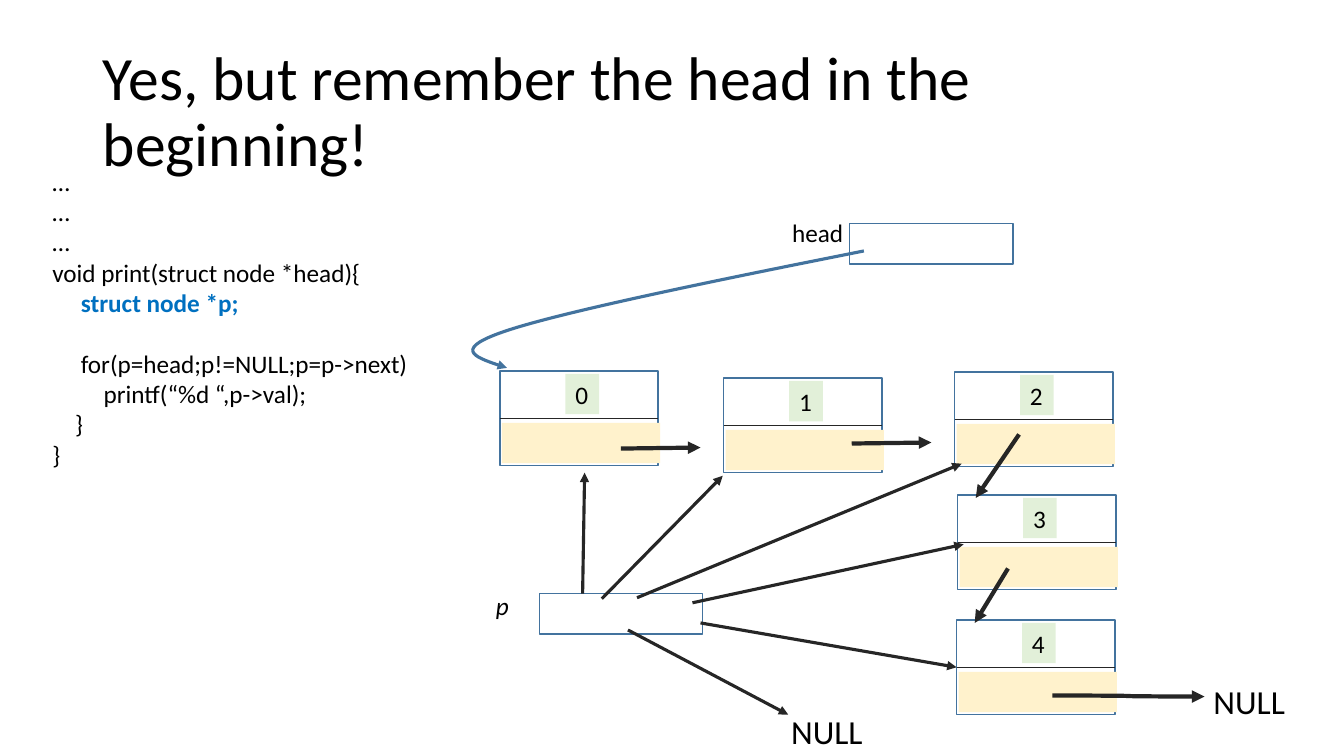
from dataclasses import dataclass

from lxml import etree
from pptx import Presentation
from pptx.dml.color import RGBColor
from pptx.enum.shapes import MSO_CONNECTOR, MSO_SHAPE
from pptx.enum.text import MSO_ANCHOR, MSO_AUTO_SIZE, PP_ALIGN
from pptx.oxml.ns import qn
from pptx.util import Inches, Pt

RECTANGLE = MSO_SHAPE.RECTANGLE
STRAIGHT, CURVED = MSO_CONNECTOR.STRAIGHT, MSO_CONNECTOR.CURVE
LEFT, MIDDLE = PP_ALIGN.LEFT, MSO_ANCHOR.MIDDLE
FIT_SHAPE, NO_FIT = MSO_AUTO_SIZE.SHAPE_TO_FIT_TEXT, MSO_AUTO_SIZE.NONE

SLIDE_W, SLIDE_H = Inches(13.33), Inches(7.5)
COLUMN, ROW = SLIDE_W / 40, SLIDE_H / 30


@dataclass(frozen=True)
class Theme:
    font: str = "Calibri"
    text: RGBColor = RGBColor(0, 0, 0)
    keyword: RGBColor = RGBColor(0x00, 0x70, 0xC0)
    outline: RGBColor = RGBColor(0x43, 0x73, 0x9E)
    arrow: RGBColor = RGBColor(0x26, 0x26, 0x26)
    value: RGBColor = RGBColor(0xE2, 0xF0, 0xD9)
    pointer: RGBColor = RGBColor(0xFF, 0xF2, 0xCC)
    title_size: int = 44
    null_size: int = 24
    body_size: int = 18


THEME = Theme()


@dataclass(frozen=True)
class Box:
    """Left, top, width and height in grid columns and rows."""
    x: float
    y: float
    w: float
    h: float

    def emu(self) -> tuple[int, int, int, int]:
        return (int(self.x * COLUMN), int(self.y * ROW),
                int(self.w * COLUMN), int(self.h * ROW))


@dataclass(frozen=True)
class Arrow:
    """Start and end in grid columns and rows."""
    x1: float
    y1: float
    x2: float
    y2: float
    kind: int = STRAIGHT


@dataclass(frozen=True)
class Node:
    value: str
    x: float
    y: float
    next_arrow: Arrow


@dataclass(frozen=True)
class CodeLine:
    text: str
    indent: float = 0  # in columns
    keyword: bool = False
    gap_before: int = 0  # in points


NODE_W, NODE_H, CELL_H, VARIABLE_W = 4.71, 3.76, 1.6, 4.86

NODES = [
    Node("0", 14.88, 14.72, Arrow(18.48, 17.8, 20.85, 17.76)),
    Node("1", 21.54, 15, Arrow(25.35, 17.6, 27.72, 17.56)),
    Node("2", 28.41, 14.76, Arrow(30.33, 17.24, 29.04, 19.76)),
    Node("3", 28.5, 19.64, Arrow(30, 22.56, 29.01, 24.72)),
    Node("4", 28.47, 24.6, Arrow(31.32, 27.6, 35.85, 27.64, CURVED)),
]

P_ARROWS = [
    Arrow(17.34, 23.56, 17.4, 18.76),
    Arrow(17.91, 23.76, 21.51, 18.88),
    Arrow(18.96, 23.72, 28.62, 18.4),
    Arrow(20.61, 23.92, 28.68, 21.6),
    Arrow(20.85, 24.72, 28.47, 26.48),
    Arrow(18.69, 25, 23.46, 28.36),
]

# Start point, then two control points and an end point per curve.
HEAD_CURVE = [(25.71, 9.96),
              (21.33, 11.12), (16.95, 12.32), (15.18, 13.08),
              (13.41, 13.84), (14.25, 14.24), (15.09, 14.6)]

CODE = [
    CodeLine("…"), CodeLine("…"), CodeLine("…"),
    CodeLine("void print(struct node *head){"),
    CodeLine("struct node *p;", 0.85, keyword=True),
    CodeLine("for(p=head;p!=NULL;p=p->next)", 0.85, gap_before=22),
    CodeLine("printf(“%d “,p->val);", 1.53),
    CodeLine("}", 0.68),
    CodeLine("}"),
]


def format_runs(paragraph, size: int, color: RGBColor = THEME.text,
                bold: bool = False, italic: bool = False) -> None:
    for run in paragraph.runs:
        font = run.font
        font.name, font.size = THEME.font, Pt(size)
        font.bold, font.italic = bold, italic
        font.color.rgb = color


def add_label(shapes, text: str, box: Box, size: int = THEME.body_size,
              wrap: bool = True, italic: bool = False):
    label = shapes.add_textbox(*box.emu())
    frame = label.text_frame
    frame.word_wrap, frame.auto_size = wrap, FIT_SHAPE
    frame.text = text
    format_runs(frame.paragraphs[0], size, italic=italic)
    return label


def add_outline(shapes, box: Box, width: float = 1) -> None:
    outline = shapes.add_shape(RECTANGLE, *box.emu())
    outline.shadow.inherit = False
    outline.fill.background()
    outline.line.color.rgb, outline.line.width = THEME.outline, Pt(width)


def add_arrowhead(shape) -> None:
    line = shape.element.spPr.find(qn("a:ln"))
    etree.SubElement(line, qn("a:tailEnd"), type="triangle")


def add_line(shapes, line: Arrow, width: float, arrowhead: bool = True) -> None:
    connector = shapes.add_connector(
        line.kind, int(line.x1 * COLUMN), int(line.y1 * ROW),
        int(line.x2 * COLUMN), int(line.y2 * ROW))
    connector.line.color.rgb, connector.line.width = THEME.arrow, Pt(width)
    etree.SubElement(connector.element.spPr, qn("a:effectLst"))
    if arrowhead:
        add_arrowhead(connector)


def add_node(shapes, node: Node) -> None:
    parts = shapes.add_group_shape().shapes
    add_outline(parts, Box(node.x, node.y, NODE_W, NODE_H))
    middle = node.y + NODE_H / 2
    add_line(parts, Arrow(node.x, middle, node.x + NODE_W, middle), 0.5, arrowhead=False)
    value = add_label(parts, node.value, Box(node.x + 1.95, node.y + 0.12, 1, CELL_H), wrap=False)
    value.fill.solid()
    value.fill.fore_color.rgb = THEME.value
    pointer = parts.add_shape(RECTANGLE, *Box(node.x + 0.06, node.y + 2.06, NODE_W, CELL_H).emu())
    pointer.shadow.inherit = False
    pointer.fill.solid()
    pointer.fill.fore_color.rgb = THEME.pointer
    pointer.line.fill.background()


def add_head_curve(shapes) -> None:
    """Draw a freeform arrow, turning each three segments into one Bézier curve."""
    points = [(int(x * COLUMN), int(y * ROW)) for x, y in HEAD_CURVE]
    builder = shapes.build_freeform(*points[0])
    builder.add_line_segments(points[1:], close=False)
    curve = builder.convert_to_shape()
    segments = list(curve.element.iter(qn("a:lnTo")))
    for start in range(0, len(segments), 3):
        bezier = etree.Element(qn("a:cubicBezTo"))
        segments[start].addprevious(bezier)
        for segment in segments[start:start + 3]:
            bezier.append(segment[0])
            segment.getparent().remove(segment)
    curve.shadow.inherit = False
    curve.fill.background()
    curve.line.color.rgb, curve.line.width = THEME.outline, Pt(2.25)
    add_arrowhead(curve)


def add_title(slide, text: str) -> None:
    title = slide.shapes.title
    title.left, title.top, title.width, title.height = Box(2.76, 1.6, 34.5, 5.8).emu()
    frame = title.text_frame
    frame.text = text
    frame.vertical_anchor, frame.auto_size, frame.word_wrap = MIDDLE, NO_FIT, True
    heading = frame.paragraphs[0]
    heading.alignment, heading.line_spacing = LEFT, 0.9
    format_runs(heading, THEME.title_size)


def add_code(shapes) -> None:
    frame = shapes.add_textbox(*Box(1.26, 6.4, 15.9, 12.52).emu()).text_frame
    frame.word_wrap, frame.auto_size = True, FIT_SHAPE
    frame.text = "\n".join(line.text for line in CODE)
    for paragraph, line in zip(frame.paragraphs, CODE):
        paragraph.space_before = Pt(line.gap_before)
        paragraph._p.get_or_add_pPr().set("marL", str(int(line.indent * COLUMN)))
        color = THEME.keyword if line.keyword else THEME.text
        format_runs(paragraph, THEME.body_size, color, bold=line.keyword)


def main() -> None:
    deck = Presentation()
    deck.slide_width, deck.slide_height = SLIDE_W, SLIDE_H
    slide = deck.slides.add_slide(deck.slide_layouts[5])
    shapes = slide.shapes
    add_code(shapes)
    add_title(slide, "Yes, but remember the head in the beginning!")
    for node in NODES:
        add_node(shapes, node)
    for node in NODES:
        add_line(shapes, node.next_arrow, 3)
    add_outline(shapes, Box(25.29, 8.88, VARIABLE_W, CELL_H))
    add_label(shapes, "head", Box(23.28, 8.44, 5.1, CELL_H))
    add_head_curve(shapes)
    add_outline(shapes, Box(16.05, 23.56, VARIABLE_W, CELL_H))
    add_label(shapes, "p", Box(14.46, 23.24, 1.68, CELL_H), italic=True)
    for arrow in P_ARROWS:
        add_line(shapes, arrow, 2.25)
    for x, y in [(35.82, 26.84), (23.25, 28)]:
        add_label(shapes, "NULL", Box(x, y, 2.76, 2), THEME.null_size, wrap=False)
    deck.save("out.pptx")


if __name__ == "__main__":
    main()
